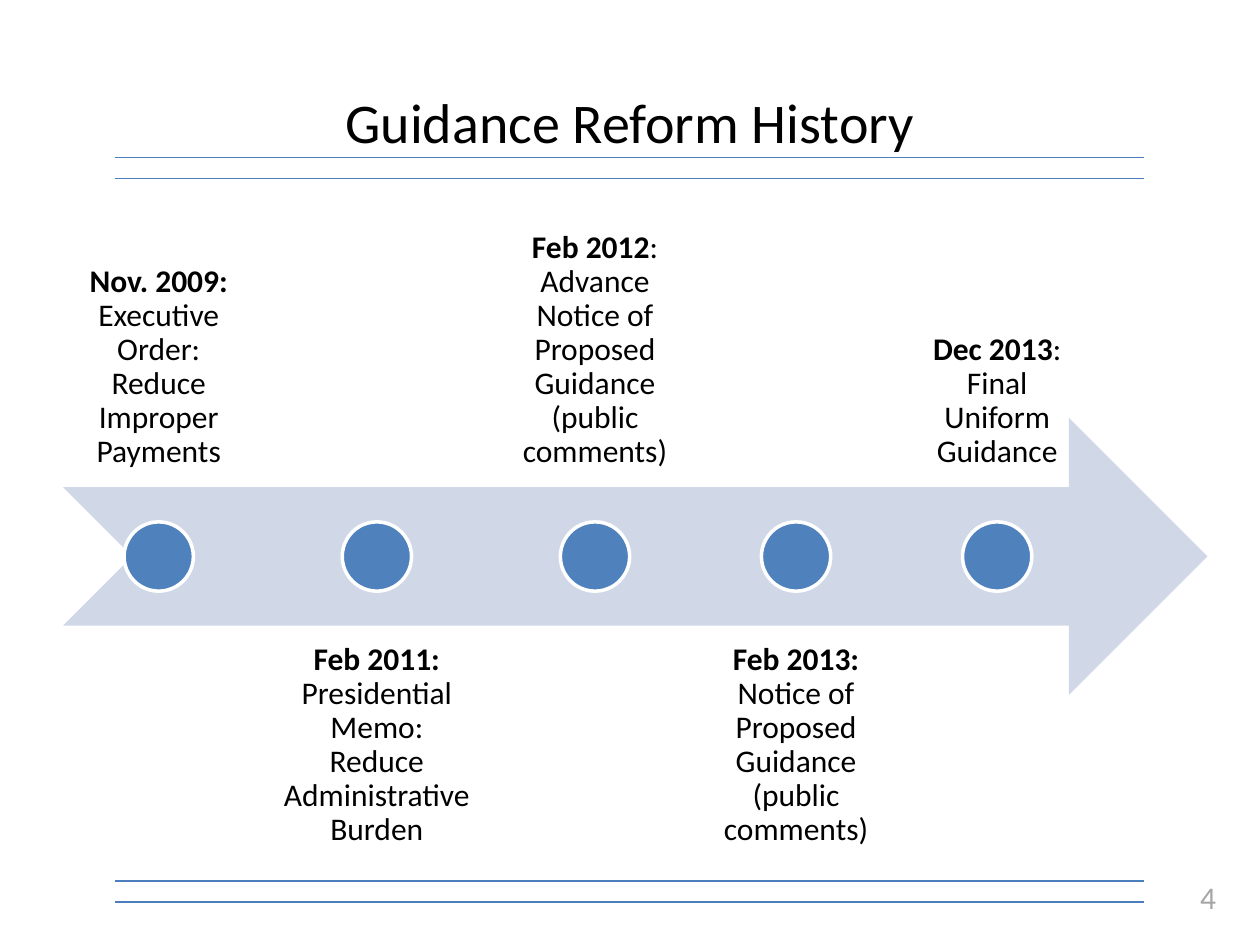
from dataclasses import dataclass

from lxml import etree
from pptx import Presentation
from pptx.dml.color import RGBColor
from pptx.enum.shapes import MSO_CONNECTOR, MSO_SHAPE
from pptx.enum.text import MSO_ANCHOR, PP_ALIGN
from pptx.oxml.ns import qn
from pptx.util import Pt

STRAIGHT = MSO_CONNECTOR.STRAIGHT
ARROW = MSO_SHAPE.NOTCHED_RIGHT_ARROW
OVAL = MSO_SHAPE.OVAL
TOP, MIDDLE, BOTTOM = MSO_ANCHOR.TOP, MSO_ANCHOR.MIDDLE, MSO_ANCHOR.BOTTOM
CENTER, RIGHT = PP_ALIGN.CENTER, PP_ALIGN.RIGHT


@dataclass(frozen=True)
class Theme:
    font: str = "Calibri"
    title_size: float = 32
    body_size: float = 18
    ink: RGBColor = RGBColor(0x00, 0x00, 0x00)
    muted: RGBColor = RGBColor(0xA6, 0xA6, 0xA6)
    rule: RGBColor = RGBColor(0x4B, 0x7E, 0xBC)
    band: RGBColor = RGBColor(0xD0, 0xD8, 0xE8)
    marker: RGBColor = RGBColor(0x4F, 0x81, 0xBD)
    outline: RGBColor = RGBColor(0xFF, 0xFF, 0xFF)


@dataclass(frozen=True)
class Box:
    left: float
    top: float
    width: float
    height: float

    def lengths(self):
        return Pt(self.left), Pt(self.top), Pt(self.width), Pt(self.height)


THEME = Theme()
COLUMN_GAP = 5.5
MARKER_SIZE = 39.6
LABEL_INSET = 10

MILESTONES = [
    ("Nov. 2009: ", "Executive Order: Reduce Improper Payments", 109.4),
    ("Feb 2011: ", "Presidential Memo: Reduce Administrative Burden", 128.9),
    ("Feb 2012", ": Advance Notice of Proposed Guidance (public comments)", 109.4),
    ("Feb 2013: ", "Notice of Proposed Guidance (public comments)", 109.4),
    ("Dec 2013", ": Final Uniform Guidance", 109.4),
]


def style_font(font, size, color, bold=False):
    font.name = THEME.font
    font.size = Pt(size)
    font.bold = bold
    font.color.rgb = color


def add_double_rule(slide, box):
    for y in (box.top, box.top + box.height):
        rule = slide.shapes.add_connector(
            STRAIGHT, Pt(box.left), Pt(y), Pt(box.left + box.width), Pt(y))
        rule.line.color.rgb = THEME.rule
        rule.line.width = Pt(0.75)
        etree.SubElement(rule.line._get_or_add_ln().getparent(), qn("a:effectLst"))


def add_title(slide, box, wording):
    title = slide.shapes.title
    title.left, title.top, title.width, title.height = box.lengths()
    frame = title.text_frame
    frame.text = wording
    frame.vertical_anchor = MIDDLE
    heading = frame.paragraphs[0]
    heading.alignment = CENTER
    style_font(heading.runs[0].font, THEME.title_size, THEME.ink)


def add_page_number(slide, box, number):
    frame = slide.shapes.add_textbox(*box.lengths()).text_frame
    frame.word_wrap = True
    frame.text = number
    line = frame.paragraphs[0]
    line.alignment = RIGHT
    style_font(line.runs[0].font, THEME.body_size, THEME.muted)


def add_filled_shape(slide, preset, box, fill):
    shape = slide.shapes.add_shape(preset, *box.lengths())
    shape.shadow.inherit = False
    shape.fill.solid()
    shape.fill.fore_color.rgb = fill
    shape.line.fill.background()
    return shape


def add_milestone_label(slide, box, date, event, anchor):
    frame = slide.shapes.add_textbox(*box.lengths()).text_frame
    frame.word_wrap = True
    frame.vertical_anchor = anchor
    frame.margin_left = frame.margin_right = Pt(LABEL_INSET)
    frame.margin_top = frame.margin_bottom = Pt(LABEL_INSET)
    label = frame.paragraphs[0]
    label.alignment = CENTER
    label.line_spacing = 0.9
    label.space_after = Pt(0.35 * THEME.body_size)
    for wording, bold in ((date, True), (event, False)):
        run = label.add_run()
        run.text = wording
        style_font(run.font, THEME.body_size, THEME.ink, bold)


def add_timeline(slide, box, milestones):
    row_height = 0.4 * box.height
    arrow_box = Box(box.left, box.top + 0.3 * box.height, box.width, row_height)
    add_filled_shape(slide, ARROW, arrow_box, THEME.band)

    marker_top = box.top + (box.height - MARKER_SIZE) / 2
    rows = [(box.top, BOTTOM), (box.top + box.height - row_height, TOP)]
    left = box.left
    for index, (date, event, width) in enumerate(milestones):
        top, anchor = rows[index % 2]
        label_box = Box(left, top, width, row_height)
        add_milestone_label(slide, label_box, date, event, anchor)
        marker_left = left + (width - MARKER_SIZE) / 2
        marker_box = Box(marker_left, marker_top, MARKER_SIZE, MARKER_SIZE)
        marker = add_filled_shape(slide, OVAL, marker_box, THEME.marker)
        marker.line.color.rgb = THEME.outline
        marker.line.width = Pt(2)
        left += width + COLUMN_GAP


def main():
    deck = Presentation()
    deck.slide_width, deck.slide_height = Pt(720), Pt(540)
    slide = deck.slides.add_slide(deck.slide_layouts[5])
    add_double_rule(slide, Box(66, 503.5, 588, 12))
    add_page_number(slide, Box(534, 498, 168, 29), "4")
    add_double_rule(slide, Box(66, 90, 588, 12))
    add_title(slide, Box(18, 24, 684, 90), "Guidance Reform History")
    add_timeline(slide, Box(36, 120, 654, 396), MILESTONES)
    deck.save("out.pptx")


if __name__ == "__main__":
    main()
